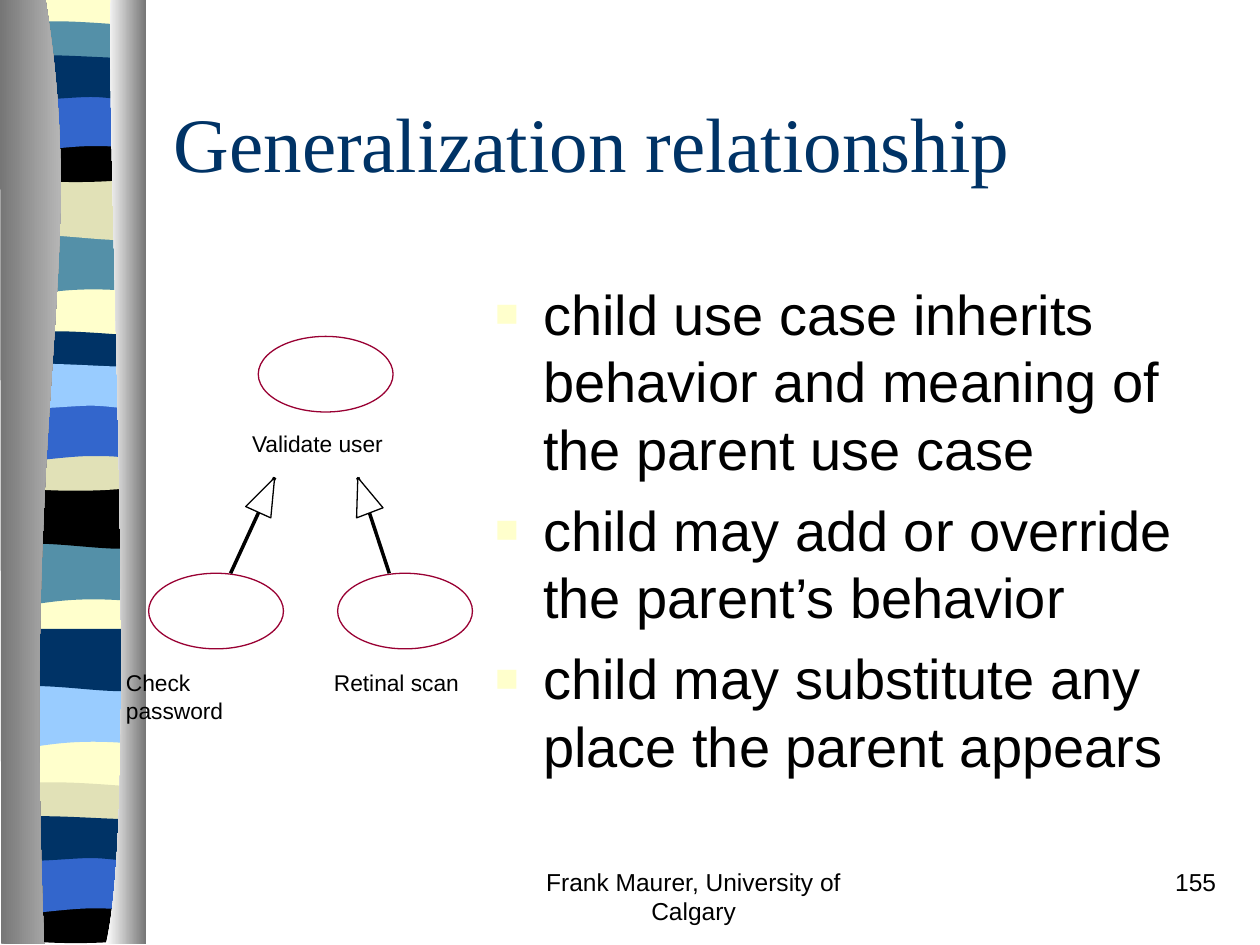
from lxml.etree import SubElement
from pptx import Presentation
from pptx.dml.color import RGBColor
from pptx.enum.shapes import MSO_CONNECTOR, MSO_SHAPE
from pptx.enum.text import MSO_ANCHOR, MSO_AUTO_SIZE, PP_ALIGN
from pptx.oxml.ns import qn
from pptx.util import Inches, Pt

HUES = {
    "cream": "FFFFCC", "teal": "5490A8", "sand": "E1E1B7", "black": "000000",
    "blue": "3366CC", "navy": "003366", "sky": "99CCFF", "white": "FFFFFF",
    "grey": "767676", "pale": "D6D6D6", "wine": "990033",
}
FORMS = {
    "title": {"name": "Times New Roman", "size": Pt(44)},
    "body": {"name": "Arial", "size": Pt(32)},
    "label": {"name": "Arial", "size": Pt(13)},
    "foot": {"name": "Arial", "size": Pt(14)},
}
WAVES = {
    "swell": [(1.08, 0), (1.08, .47), (.33, .39, .18, .55, 0, .47), (0, 0)],
    "roll": [(1.08, 0), (1.08, .47), (.9, .55, .33, .41, 0, .47), (0, 0)],
    "strip": [(1.08, .05), (1.08, .29), (.9, .33, .18, .33, 0, .29), (0, .05),
              (.06, 0, .23, .01, .41, .01), (.59, .01, .94, .04, 1.08, .05)],
    "bowl": [(1.08, 0), (1.08, .32), (.9, .38, .18, .38, 0, .32), (0, 0),
             (.66, .05, .85, 0, 1.08, 0)],
    "arch": [(1.08, 0), (1.08, .47), (.91, .42, .84, .42, .66, .42),
             (.48, .42, .16, .47, 0, .47), (0, 0)],
    "flag": [(1.08, .05), (1.08, .36), (1.01, .41, .84, .36, .66, .36),
             (.48, .36, .11, .41, 0, .36), (0, .05),
             (.15, 0, .73, .05, .91, .05), (1.09, .05, 1.04, .05, 1.08, .05)],
    "base": [(1.08, 0), (1.08, 7.48), (0, 7.48), (0, 0)],
    "left": [(.36, 0), (.71, 2.17, .17, 2.97, .35, 7.5), (.01, 7.5), (0, 0)],
    "right": [(.88, 0), (.84, 1.26, 1.11, 6.47, .84, 7.5), (1.16, 7.5), (1.16, 0)],
}
BANDS = [
    ("base", "cream", -.01),
    ("swell", "teal", 1.85), ("roll", "sand", 1.41), ("strip", "teal", .16),
    ("bowl", "black", 1.08), ("arch", "blue", .74), ("flag", "navy", .41),
    ("swell", "teal", 4.31), ("roll", "black", 3.86), ("strip", "navy", 2.62),
    ("bowl", "sand", 3.53), ("arch", "blue", 3.2), ("flag", "sky", 2.86),
    ("swell", "sky", 5.44), ("roll", "navy", 4.99), ("strip", "sand", 6.2),
    ("bowl", "black", 7.12), ("arch", "blue", 6.79), ("flag", "navy", 6.45),
]
EDGES = [("left", "grey", "pale"), ("right", "white", "grey")]
CASES = [
    ("Validate user", 1.05, 0, 1, .74, 1.05),
    ("Check password", .18, 1.88, 0, 2.64, 1.33),
    ("Retinal scan", 1.68, 1.88, 1.65, 2.64, .99),
]
LINKS = [
    ((.83, 1.88), (1.18, 1.12), [(1.15, 1.44), (.95, 1.35)]),
    ((2.09, 1.88), (1.84, 1.12), [(2.04, 1.36), (1.83, 1.44)]),
]
POINTS = [
    "child use case inherits behavior and meaning of the parent use case",
    "child may add or override the parent’s behavior",
    "child may substitute any place the parent appears",
]


def tint(name):
    """Return the colour of that name."""
    return RGBColor.from_string(HUES[name])


def style(part, form, hue="black"):
    """Set the font of a paragraph from its format values."""
    for key, value in FORMS[form].items():
        setattr(part.font, key, value)
    part.font.color.rgb = tint(hue)


def place(shape, box):
    """Move a shape to a box given in inches."""
    for key, value in zip(("left", "top", "width", "height"), box):
        setattr(shape, key, Inches(value))


def bend(shape, steps):
    """Join each three line points of a curved step into one cubic curve."""
    lines = iter(list(shape._element.iter(qn("a:lnTo"))))
    for step in steps[1:]:
        first = next(lines)
        if len(step) == 6:
            first.tag = qn("a:cubicBezTo")
            for line in (next(lines), next(lines)):
                first.append(line[0])
                line.getparent().remove(line)


def outline(slide, steps, left, top):
    """Draw a closed outline of lines and curves offset from a corner."""
    spots = [(Inches(left + step[i]), Inches(top + step[i + 1]))
             for step in steps for i in range(0, len(step), 2)]
    pen = slide.shapes.build_freeform(*spots[0], scale=1.0)
    pen.add_line_segments(spots[1:], close=True)
    shape = pen.convert_to_shape()
    bend(shape, steps)
    shape.shadow.inherit = False
    shape.line.fill.background()
    return shape


def paint(shape, fill, line=None):
    """Give a shape a solid fill and maybe a hairline."""
    shape.shadow.inherit = False
    shape.fill.solid()
    shape.fill.fore_color.rgb = tint(fill)
    if line:
        shape.line.color.rgb = tint(line)
        shape.line.width = Pt(0)


def ribbon(slide, box):
    """Draw the striped ribbon and its two shaded edges."""
    left, top = box[:2]
    for wave, hue, drop in BANDS:
        paint(outline(slide, WAVES[wave], left + .06, top + drop), hue)
    for wave, start, end in EDGES:
        fill = outline(slide, WAVES[wave], left, top - .01).fill
        fill.gradient()
        fill.gradient_angle = 0
        for stop, hue in zip(fill.gradient_stops, (start, end)):
            stop.color.rgb = tint(hue)


def heading(slide, box):
    """Fill the title placeholder."""
    title = slide.shapes.title
    place(title, box)
    frame = title.text_frame
    frame.text = "Generalization relationship"
    frame.auto_size = MSO_AUTO_SIZE.NONE
    frame.vertical_anchor = MSO_ANCHOR.MIDDLE
    frame.paragraphs[0].alignment = PP_ALIGN.LEFT
    style(frame.paragraphs[0], "title", "navy")


def bullet(part):
    """Add a small square bullet with a hanging indent."""
    props = part._p.get_or_add_pPr()
    props.set("marL", str(Inches(.38)))
    props.set("indent", str(Inches(-.38)))
    colour = SubElement(props, qn("a:buClr"))
    SubElement(colour, qn("a:srgbClr"), val=HUES["cream"])
    SubElement(props, qn("a:buSzPct"), val="70000")
    SubElement(props, qn("a:buFont"), typeface="Arial")
    SubElement(props, qn("a:buChar"), char="■")


def listing(slide, box):
    """Fill the body placeholder with the bullet points."""
    body = slide.placeholders[1]
    place(body, box)
    frame = body.text_frame
    frame.text = "\n".join(POINTS)
    frame.auto_size = MSO_AUTO_SIZE.NONE
    for i, part in enumerate(frame.paragraphs):
        bullet(part)
        part.space_before = Pt(8 if i else 0)
        style(part, "body")


def note(slide, box, text, form, align=PP_ALIGN.LEFT, wrap=True):
    """Add a text box with one paragraph."""
    frame = slide.shapes.add_textbox(*map(Inches, box)).text_frame
    frame.word_wrap = wrap
    frame.text = text
    frame.paragraphs[0].alignment = align
    style(frame.paragraphs[0], form)
    return frame


def diagram(slide, box):
    """Draw the use cases and the arrows from child to parent."""
    left, top = box[:2]
    for text, x, y, side, drop, width in CASES:
        oval = slide.shapes.add_shape(
            MSO_SHAPE.OVAL, *map(Inches, (left + x, top + y, 1.07, .6)))
        paint(oval, "white", "wine")
        frame = note(slide, (left + side, top + drop, width, .22), text, "label", wrap=False)
        for edge in ("left", "top", "right", "bottom"):
            setattr(frame, f"margin_{edge}", 0)
    for start, tip, wings in LINKS:
        ends = [Inches(v) for x, y in (start, tip) for v in (left + x, top + y)]
        line = slide.shapes.add_connector(MSO_CONNECTOR.STRAIGHT, *ends)
        line.line.color.rgb = tint("black")
        line.line.width = Pt(0)
        SubElement(line._element.spPr, qn("a:effectLst"))
        paint(outline(slide, [tip, *wings], left, top), "white", "black")


def footer(slide, box):
    """Add the author line and the slide number."""
    left, top, width, height = box
    note(slide, (left, top, 3.17, height), "Frank Maurer, University of Calgary",
         "foot", PP_ALIGN.CENTER)
    note(slide, (left + width - 2.08, top, 2.08, height), "155", "foot", PP_ALIGN.RIGHT)


def main():
    """Build and save the slide."""
    deck = Presentation()
    deck.slide_width, deck.slide_height = Inches(10), Inches(7.5)
    slide = deck.slides.add_slide(deck.slide_layouts[1])
    ribbon(slide, (0, 0, 1.16, 7.5))
    heading(slide, (1.28, .5, 8.5, 1.25))
    listing(slide, (3.83, 2.17, 5.95, 4.5))
    diagram(slide, (1, 2.67, 2.75, 2.86))
    footer(slide, (3.92, 6.83, 5.83, .5))
    deck.save("out.pptx")


if __name__ == "__main__":
    main()
